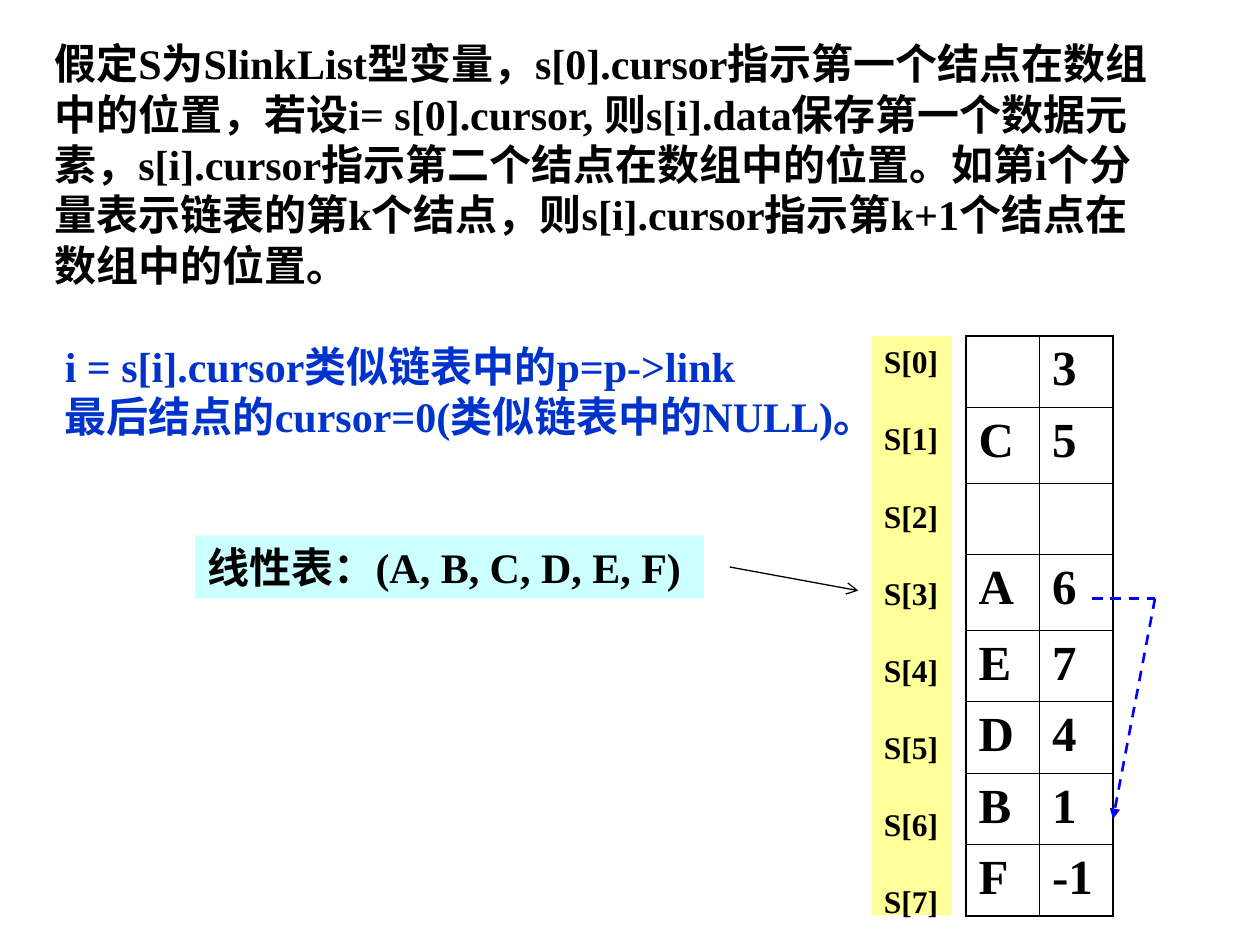
from dataclasses import dataclass

import pptx
import pptx.dml.color
import pptx.enum.dml
import pptx.enum.shapes
import pptx.enum.text
import pptx.oxml.ns
import pptx.util
from lxml import etree

Pt = pptx.util.Pt
qn = pptx.oxml.ns.qn


@dataclass(frozen=True)
class Theme:
    font: str = "Times New Roman"
    ink: str = "000000"
    note: str = "0033CC"
    link: str = "0000FF"
    index: str = "FFFF99"
    list: str = "CCFFFF"
    body: float = 24
    label: float = 18
    cell: float = 28
    thin: float = 0.45
    thick: float = 1.08


THEME = Theme()

INTRO = (
    "假定S为SlinkList型变量，s[0].cursor指示第一个结点在数组中的位置，"
    "若设i= s[0].cursor, 则s[i].data保存第一个数据元素，"
    "s[i].cursor指示第二个结点在数组中的位置。"
    "如第i个分量表示链表的第k个结点，则s[i].cursor指示第k+1个结点在数组中的位置。"
)
NOTES = ["i = s[i].cursor类似链表中的p=p->link",
         "最后结点的cursor=0(类似链表中的NULL)。"]
NODES = [("", "3"), ("C", "5"), ("", ""), ("A", "6"),
         ("E", "7"), ("D", "4"), ("B", "1"), ("F", "-1")]
TALL = (1, 3)


def rgb(code):
    return pptx.dml.color.RGBColor.from_string(code)


def style(para, size, color=THEME.ink):
    para.alignment = pptx.enum.text.PP_ALIGN.LEFT
    font = para.font
    font.name, font.size, font.bold = THEME.font, Pt(size), True
    font.color.rgb = rgb(color)


def write(frame, lines, size, gap=0):
    """Fill a frame with one paragraph a line, gap points apart."""
    for i, line in enumerate(lines):
        para = frame.add_paragraph() if i else frame.paragraphs[0]
        para.text = line
        if i:
            para.space_before = Pt(gap)
        style(para, size)


def add_text(slide, box):
    frame = slide.shapes.add_textbox(*map(Pt, box)).text_frame
    frame.word_wrap = True
    write(frame, [INTRO, *NOTES], THEME.body)
    notes = frame.paragraphs[1:]
    notes[0].space_before = Pt(28.8)
    for para in notes:
        para._p.get_or_add_pPr().set("marL", str(Pt(6)))
        style(para, THEME.body, THEME.note)


def add_panel(slide, box, fill, lines, size, gap=0):
    shape = slide.shapes.add_shape(
        pptx.enum.shapes.MSO_SHAPE.RECTANGLE, *map(Pt, box))
    shape.shadow.inherit = False
    shape.fill.solid()
    shape.fill.fore_color.rgb = rgb(fill)
    shape.line.fill.background()
    frame = shape.text_frame
    frame.word_wrap = False
    frame.vertical_anchor = pptx.enum.text.MSO_ANCHOR.TOP
    write(frame, lines, size, gap)


def set_edges(cell, widths):
    """Draw the left, right, top and bottom borders of a cell."""
    props = cell._tc.get_or_add_tcPr()
    for i, (side, width) in enumerate(zip("LRTB", widths)):
        edge = etree.Element(qn(f"a:ln{side}"), w=str(Pt(width)))
        fill = etree.SubElement(edge, qn("a:solidFill"))
        etree.SubElement(fill, qn("a:srgbClr"), val=THEME.ink)
        props.insert(i, edge)


def add_nodes(slide, left, top, width, short, tall):
    heights = [tall if i in TALL else short for i in range(len(NODES))]
    table = slide.shapes.add_table(
        len(NODES), 2, Pt(left), Pt(top), Pt(2 * width), Pt(sum(heights))).table
    table.first_row = table.horz_banding = False
    for col in table.columns:
        col.width = Pt(width)
    last = len(NODES) - 1
    for r, node in enumerate(NODES):
        table.rows[r].height = Pt(heights[r])
        for c, text in enumerate(node):
            cell = table.cell(r, c)
            cell.fill.background()
            outer = (c == 0, c == 1, r == 0, r == last)
            set_edges(cell, [THEME.thick if o else THEME.thin for o in outer])
            if text:
                write(cell.text_frame, [text], THEME.cell)


def add_line(slide, start, end, color, width, dash=False, head=None):
    line = slide.shapes.add_connector(
        pptx.enum.shapes.MSO_CONNECTOR.STRAIGHT, *map(Pt, (*start, *end)))
    line.line.color.rgb = rgb(color)
    line.line.width = Pt(width)
    if dash:
        line.line.dash_style = pptx.enum.dml.MSO_LINE.DASH
    if head:
        etree.SubElement(line.line._get_or_add_ln(), qn("a:tailEnd"), type=head)
    etree.SubElement(line._element.spPr, qn("a:effectLst"))


def main():
    deck = pptx.Presentation()
    deck.slide_width, deck.slide_height = Pt(720), Pt(540)
    slide = deck.slides.add_slide(deck.slide_layouts[6])

    add_text(slide, (24, 18, 642, 237.6))
    add_nodes(slide, 552, 192, 42, 40.8, 43.2)
    add_panel(slide, (498, 192, 45.5, 331.2), THEME.index,
              [f"S[{i}]" for i in range(len(NODES))], THEME.label, gap=22.5)
    add_panel(slide, (111.5, 306, 290.8, 36), THEME.list,
              ["线性表：(A, B, C, D, E, F)"], THEME.body)

    bend = (660, 342)
    add_line(slide, (624, 342), bend, THEME.link, 1.5, dash=True)
    add_line(slide, bend, (636, 468), THEME.link, 1.5, dash=True, head="triangle")
    add_line(slide, (417, 324), (490.5, 337.5), THEME.ink, 0.75, head="arrow")
    deck.save("out.pptx")


if __name__ == "__main__":
    main()
